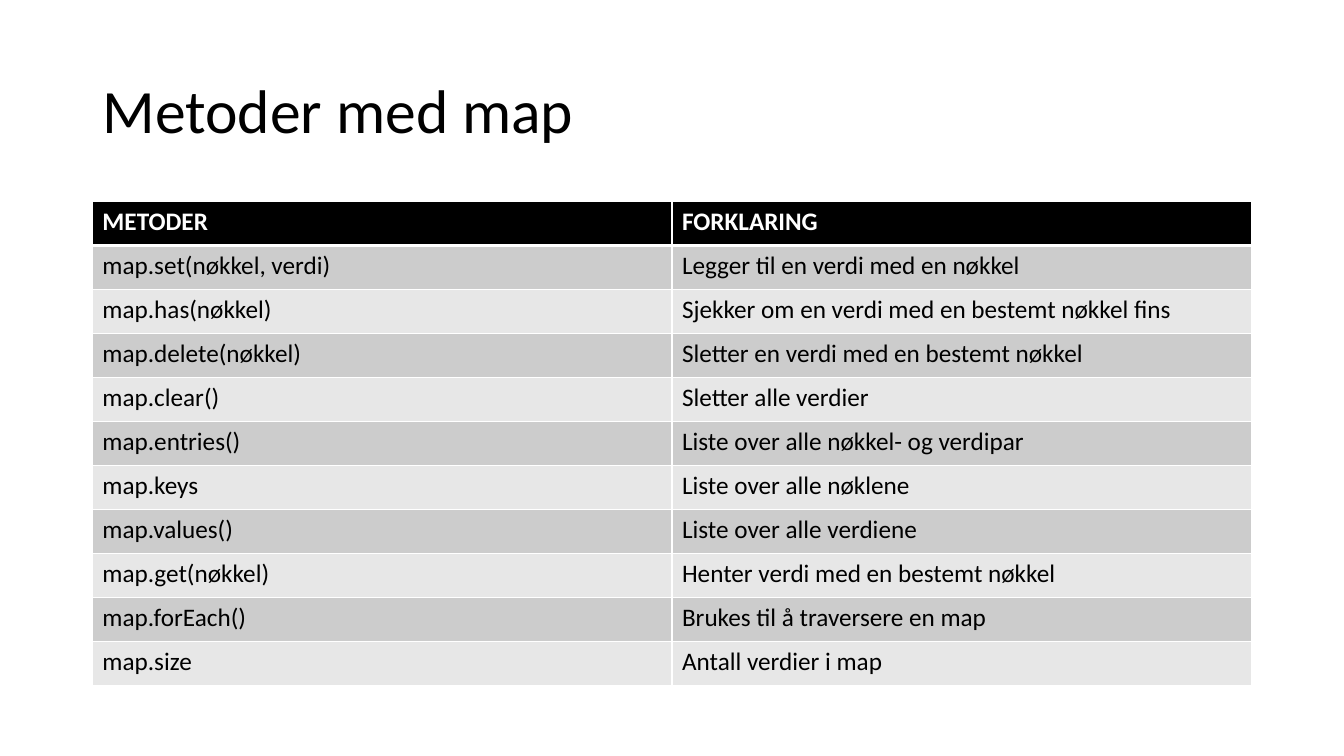
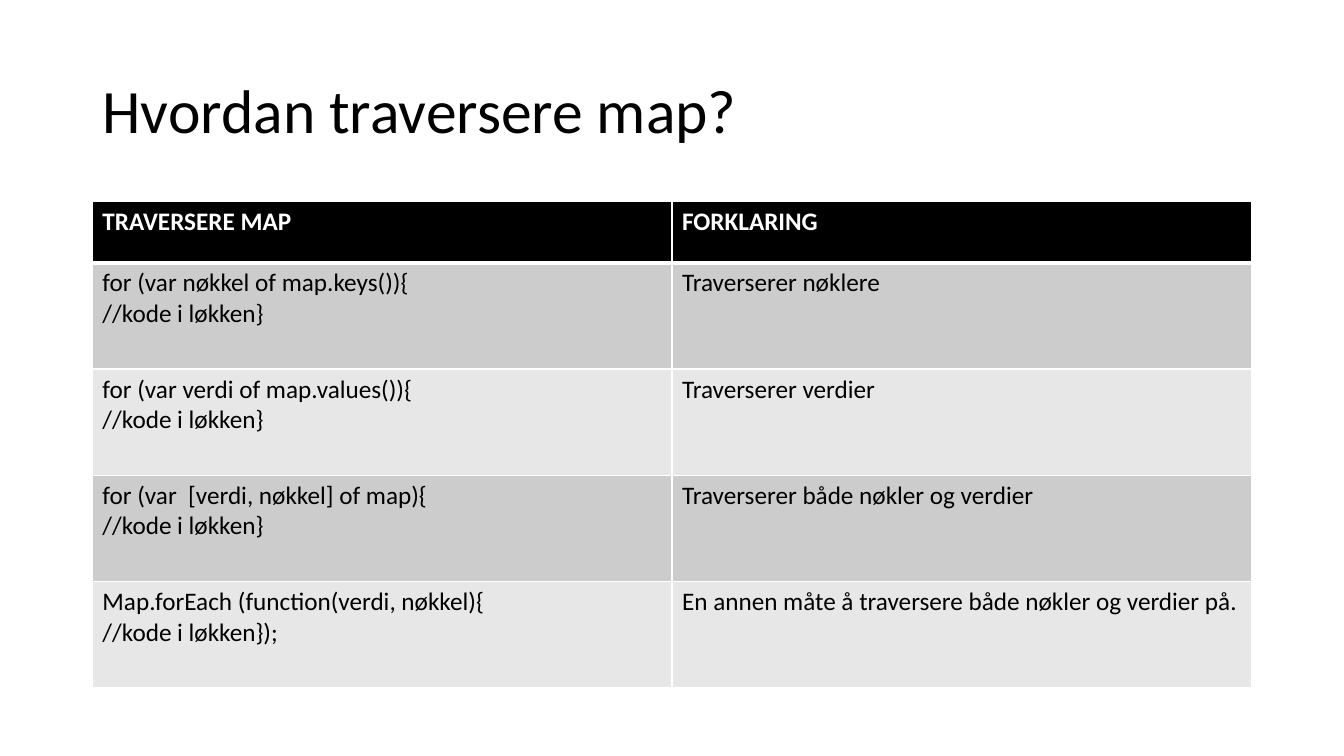
from dataclasses import dataclass

from lxml.etree import SubElement as Sub
from pptx import Presentation
from pptx.dml.color import RGBColor as Rgb
from pptx.enum.text import MSO_ANCHOR as Anchor, MSO_AUTO_SIZE as Auto, PP_ALIGN as Align
from pptx.oxml.ns import qn
from pptx.util import Pt


@dataclass(frozen=True)
class Theme:
    font: str = "Calibri"
    dark: str = "000000"
    light: str = "FFFFFF"
    bands: tuple = ("CCCCCC", "E7E7E7")
    title: int = 44
    text: int = 18
    thin: int = 1
    thick: int = 3


THEME = Theme()
SIZE = (960, 540)
HEAD = (66, 28.75, 828, 104.4)
LEFT, TOP, WIDTH = 66, 144, 828

METHODS = [
    ("METODER", "FORKLARING"),
    ("map.set(nøkkel, verdi)", "Legger til en verdi med en nøkkel"),
    ("map.has(nøkkel)", "Sjekker om en verdi med en bestemt nøkkel fins"),
    ("map.delete(nøkkel)", "Sletter en verdi med en bestemt nøkkel"),
    ("map.clear()", "Sletter alle verdier"),
    ("map.entries()", "Liste over alle nøkkel- og verdipar"),
    ("map.keys", "Liste over alle nøklene"),
    ("map.values()", "Liste over alle verdiene"),
    ("map.get(nøkkel)", "Henter verdi med en bestemt nøkkel"),
    ("map.forEach()", "Brukes til å traversere en map"),
    ("map.size", "Antall verdier i map"),
]
LOOPS = [
    ("TRAVERSERE MAP", "FORKLARING"),
    ("for (var nøkkel of map.keys()){\n//kode i løkken}", "Traverserer nøklere"),
    ("for (var verdi of map.values()){\n//kode i løkken}", "Traverserer verdier"),
    ("for (var  [verdi, nøkkel] of map){\n//kode i løkken}",
     "Traverserer både nøkler og verdier"),
    ("Map.forEach (function(verdi, nøkkel){\n//kode i løkken});",
     "En annen måte å traversere både nøkler og verdier på."),
]


def assign(item, values):
    for name, value in values.items():
        setattr(item, name, value)


def style(frame, size, color, bold=False, **para):
    for line in frame.paragraphs:
        assign(line, para)
        for run in line.runs:
            assign(run.font, dict(name=THEME.font, size=Pt(size), bold=bold))
            run.font.color.rgb = Rgb.from_string(color)


def place(item, box):
    names = ("left", "top", "width", "height")
    assign(item, dict(zip(names, map(Pt, box))))


def add_title(slide, text, box):
    title = slide.shapes.title
    place(title, box)
    frame = title.text_frame
    frame.text = text
    assign(frame, dict(vertical_anchor=Anchor.MIDDLE, word_wrap=True,
                       auto_size=Auto.NONE))
    style(frame, THEME.title, THEME.dark, alignment=Align.LEFT, line_spacing=0.9)


def add_edges(cell, top, bottom):
    props = cell._tc.get_or_add_tcPr()
    widths = dict(lnL=THEME.thin, lnR=THEME.thin, lnT=top, lnB=bottom)
    for side, width in widths.items():
        edge = Sub(props, qn("a:" + side), w=str(Pt(width)))
        Sub(Sub(edge, qn("a:solidFill")), qn("a:srgbClr"), val=THEME.light)


def fill_cell(cell, text, row):
    first = row == 0
    cell.text = text
    style(cell.text_frame, THEME.text, THEME.light if first else THEME.dark, first)
    # The heavy rule lies between the header and the first band
    add_edges(cell, THEME.thick if row == 1 else THEME.thin,
              THEME.thick if first else THEME.thin)
    cell.fill.solid()
    tone = THEME.dark if first else THEME.bands[(row - 1) % 2]
    cell.fill.fore_color.rgb = Rgb.from_string(tone)


def add_grid(slide, rows, box, head):
    count = len(rows[0])
    grid = slide.shapes.add_table(len(rows), count, *map(Pt, box)).table
    for col in grid.columns:
        col.width = Pt(box[2] / count)
    step = (box[3] - head) / (len(rows) - 1)
    for row, texts in enumerate(rows):
        grid.rows[row].height = Pt(step if row else head)
        for col, text in enumerate(texts):
            fill_cell(grid.cell(row, col), text, row)


def add_page(deck, title, rows, height, head):
    slide = deck.slides.add_slide(deck.slide_layouts[5])
    add_title(slide, title, HEAD)
    add_grid(slide, rows, (LEFT, TOP, WIDTH, height), head)


deck = Presentation()
assign(deck, dict(zip(("slide_width", "slide_height"), map(Pt, SIZE))))

# Method list, then the ways to loop
add_page(deck, "Metoder med map", METHODS, 345.6, 31.42)
add_page(deck, "Hvordan traversere map?", LOOPS, 347, 43.8)

deck.save("out.pptx")
